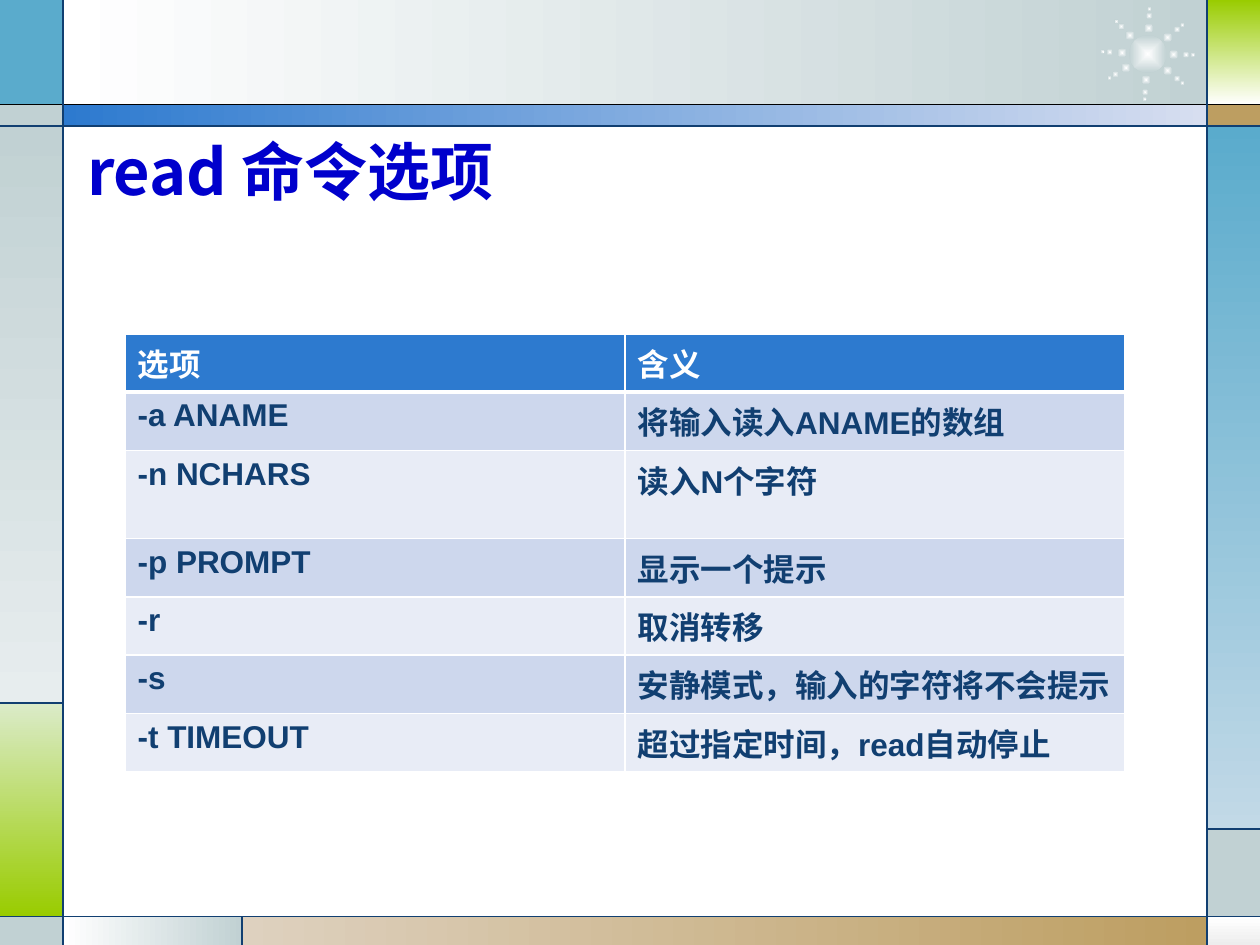
from dataclasses import dataclass
from math import cos, radians, sin
from typing import NamedTuple, Optional

from lxml import etree
from pptx import Presentation
from pptx import util as u
from pptx.dml.color import RGBColor
from pptx.enum import shapes, text
from pptx.oxml.ns import qn


@dataclass(frozen=True)
class Theme:
    white: str = "FFFFFF"
    grey: str = "C1D1D3"
    pale: str = "E7EDEE"
    mist: str = "EDEDED"
    teal: str = "5AABCC"
    sky: str = "C2D9E7"
    lime: str = "99CC00"
    mint: str = "DBEBC9"
    tan: str = "BD9E61"
    sand: str = "DED1BF"
    blue: str = "2D7ACF"
    ice: str = "D7DEF0"
    navy: str = "113F71"
    black: str = "000000"
    title: str = "0000CC"
    odd: str = "CDD7ED"
    even: str = "E8ECF6"
    latin: str = "Arial"
    han: str = "Noto Sans CJK SC"
    big: int = 36
    small: int = 18


class Panel(NamedTuple):
    left: float
    top: float
    right: float
    low: float
    color: str
    fade: Optional[str] = None
    angle: int = 0


class Rule(NamedTuple):
    x1: float
    y1: float
    x2: float
    y2: float
    color: str


class Dot(NamedTuple):
    dist: float
    size: float


T = Theme()

# Frame grid, in centimetres
WIDE, HIGH = 25.4, 19.05
LEFT, RIGHT = 1.27, 24.33
HEAD, BAND, FOOT = 2.11, 2.54, 18.47
LIME, TEAL, TAN = 14.17, 16.71, 4.88

PANELS = [
    Panel(LEFT, 0, RIGHT, HEAD, T.white, T.grey),
    Panel(0, 0, LEFT, HEAD, T.teal),
    Panel(0, HEAD, LEFT, BAND, T.grey),
    Panel(0, BAND, LEFT, LIME, T.grey, T.pale, 270),
    Panel(0, LIME, LEFT, FOOT, T.mint, T.lime, 270),
    Panel(0, FOOT, LEFT, HIGH, T.grey),
    Panel(LEFT, FOOT, TAN, HIGH, T.white, T.grey),
    Panel(TAN, FOOT, RIGHT, HIGH, T.sand, T.tan),
    Panel(RIGHT, FOOT, WIDE, HIGH, T.white, T.mist, 270),
    Panel(RIGHT, TEAL, WIDE, FOOT, T.grey),
    Panel(RIGHT, BAND, WIDE, TEAL, T.teal, T.sky, 270),
    Panel(RIGHT, HEAD, WIDE, BAND, T.tan),
    Panel(RIGHT, 0, WIDE, HEAD, T.lime, T.white, 270),
    Panel(LEFT, HEAD, RIGHT, BAND, T.blue, T.ice),
]

RULES = [
    Rule(0, HEAD, WIDE, HEAD, T.black),
    Rule(0, BAND, WIDE, BAND, T.navy),
    Rule(0, FOOT, WIDE, FOOT, T.navy),
    Rule(LEFT, 0, LEFT, HIGH, T.navy),
    Rule(RIGHT, 0, RIGHT, HIGH, T.navy),
    Rule(LEFT, LIME, 0, LIME, T.navy),
    Rule(TAN, FOOT, TAN, HIGH, T.navy),
    Rule(RIGHT, TEAL, WIDE, TEAL, T.navy),
]

# Star: a core and eight arms of three dots
CORE = (23.14, 1.09, 0.76)
ARMS = [40, 1, -40, 94, -88, -134, -177, 148]
DOTS = [Dot(0.77, 0.13), Dot(0.91, 0.09), Dot(0.52, 0.19)]

ROWS = [
    ("选项", "含义"),
    ("-a ANAME", "将输入读入ANAME的数组"),
    ("-n NCHARS", "读入N个字符"),
    ("-p PROMPT", "显示一个提示"),
    ("-r", "取消转移"),
    ("-s", "安静模式，输入的字符将不会提示"),
    ("-t TIMEOUT", "超过指定时间，read自动停止"),
]


def rgb(color: str) -> RGBColor:
    return RGBColor.from_string(color)


def blend(shape, first: str, last: str, angle: int = 0) -> None:
    shape.fill.gradient()
    shape.fill.gradient_angle = angle
    for stop, color in zip(shape.fill.gradient_stops, (first, last)):
        stop.color.rgb = rgb(color)


def add_panel(slide, p: Panel) -> None:
    shape = slide.shapes.add_shape(
        shapes.MSO_SHAPE.RECTANGLE, u.Cm(p.left), u.Cm(p.top),
        u.Cm(p.right - p.left), u.Cm(p.low - p.top))
    shape.shadow.inherit = False
    shape.line.fill.background()
    if p.fade:
        blend(shape, p.color, p.fade, p.angle)
    else:
        shape.fill.solid()
        shape.fill.fore_color.rgb = rgb(p.color)


def add_dot(slide, x: float, y: float, size: float) -> None:
    dot = slide.shapes.add_shape(
        shapes.MSO_SHAPE.OVAL, u.Cm(x - size / 2), u.Cm(y - size / 2),
        u.Cm(size), u.Cm(size))
    dot.shadow.inherit = False
    dot.line.fill.background()
    blend(dot, T.white, T.grey)
    # Turn the linear blend into one that spreads from the middle
    lin = dot._element.spPr.find(".//" + qn("a:lin"))
    glow = etree.Element(qn("a:path"), {"path": "shape"})
    etree.SubElement(glow, qn("a:fillToRect"), dict.fromkeys("ltrb", "50000"))
    lin.getparent().replace(lin, glow)


def add_rule(slide, r: Rule) -> None:
    line = slide.shapes.add_connector(
        shapes.MSO_CONNECTOR.STRAIGHT, u.Cm(r.x1), u.Cm(r.y1), u.Cm(r.x2), u.Cm(r.y2))
    line.line.color.rgb = rgb(r.color)
    line.line.width = u.Pt(0.75)
    etree.SubElement(line._element.spPr, qn("a:effectLst"))


def add_run(para, words: str, size: int, color: str, face: str) -> None:
    run = para.add_run()
    run.text = words
    run.font.size, run.font.bold, run.font.name = u.Pt(size), True, face
    run.font.color.rgb = rgb(color)
    etree.SubElement(run._r.get_or_add_rPr(), qn("a:ea"), {"typeface": T.han})


def set_edges(cell, head: bool, below: bool) -> None:
    widths = {"L": 1, "R": 1, "T": 3 if below else 1, "B": 3 if head else 1}
    props = cell._tc.get_or_add_tcPr()
    for i, (side, wide) in enumerate(widths.items()):
        edge = etree.Element(qn("a:ln" + side), {"w": str(u.Pt(wide))})
        fill = etree.SubElement(edge, qn("a:solidFill"))
        etree.SubElement(fill, qn("a:srgbClr"), {"val": T.white})
        props.insert(i, edge)


def add_grid(slide) -> None:
    grid = slide.shapes.add_table(
        len(ROWS), 2, u.Cm(2.52), u.Cm(6.73), u.Cm(20.16), u.Cm(7.96)).table
    for i, row in enumerate(ROWS):
        grid.rows[i].height = u.Cm(1.78 if i == 2 else 1.03)
        for j, words in enumerate(row):
            cell = grid.cell(i, j)
            cell.fill.solid()
            shade = T.blue if i == 0 else T.odd if i % 2 else T.even
            cell.fill.fore_color.rgb = rgb(shade)
            set_edges(cell, i == 0, i == 1)
            add_run(cell.text_frame.paragraphs[0], words, T.small,
                    T.navy if i else T.white, T.latin)


def add_title(slide) -> None:
    title = slide.shapes.title
    title.left, title.top = u.Cm(1.5), u.Cm(2.72)
    title.width, title.height = u.Cm(22.28), u.Cm(1.4)
    frame = title.text_frame
    frame.auto_size = text.MSO_AUTO_SIZE.NONE
    frame.vertical_anchor = text.MSO_ANCHOR.TOP
    para = frame.paragraphs[0]
    para.alignment, para.line_spacing = text.PP_ALIGN.LEFT, 0.9
    add_run(para, "read 命令选项", T.big, T.title, T.han)
    # Bring the title in front of the frame
    slide.shapes._spTree.append(title._element)


def main() -> None:
    deck = Presentation()
    deck.slide_width, deck.slide_height = u.Cm(WIDE), u.Cm(HIGH)
    slide = deck.slides.add_slide(deck.slide_layouts[5])
    # Frame
    for panel in PANELS:
        add_panel(slide, panel)
    # Star
    x, y, size = CORE
    add_dot(slide, x, y, size)
    for arm in map(radians, ARMS):
        for dot in DOTS:
            add_dot(slide, x + dot.dist * cos(arm), y + dot.dist * sin(arm), dot.size)
    for rule in RULES:
        add_rule(slide, rule)
    # Content
    add_title(slide)
    add_grid(slide)
    deck.save("out.pptx")


if __name__ == "__main__":
    main()
